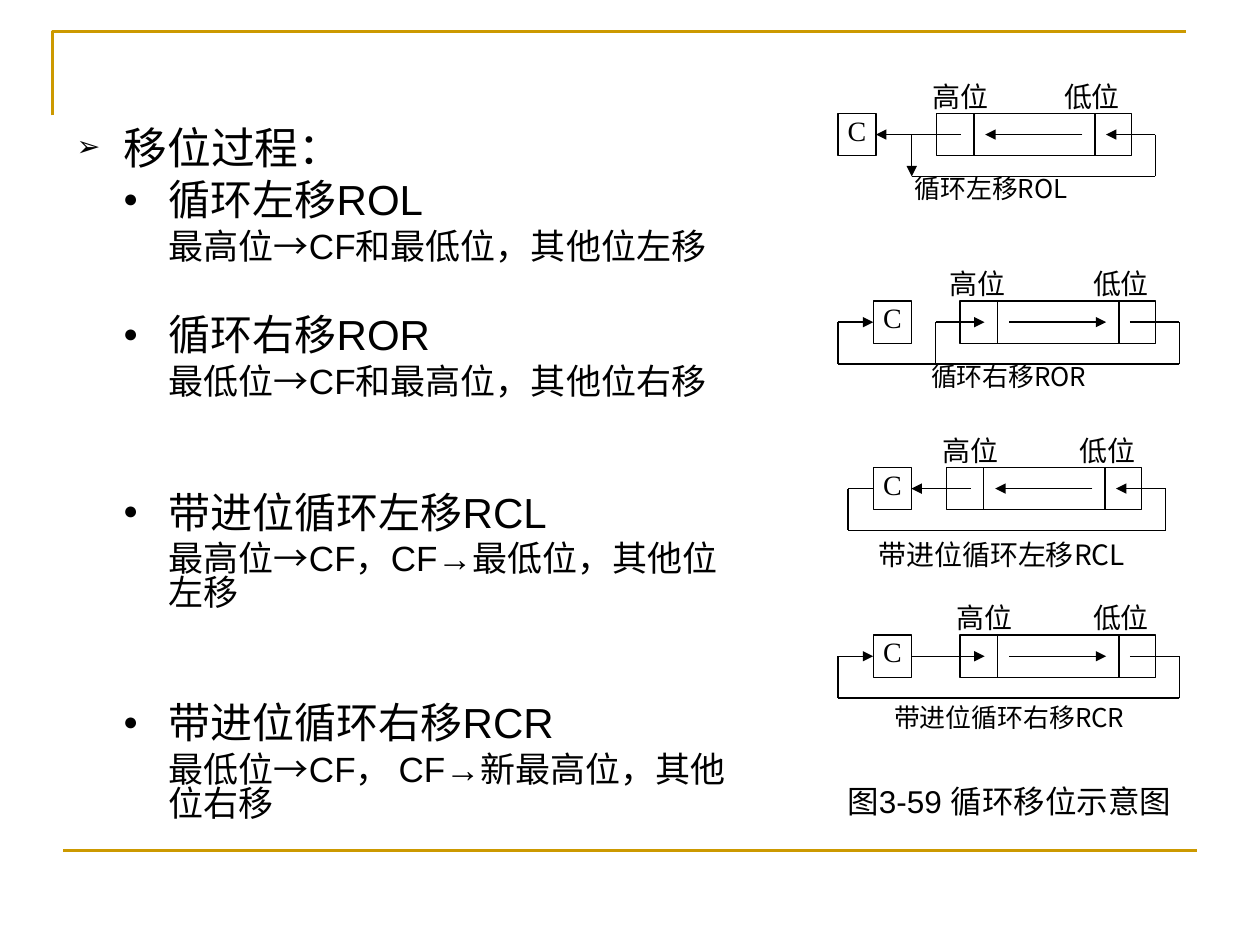
from itertools import pairwise

from lxml.etree import SubElement
from pptx import Presentation
from pptx.dml.color import RGBColor
from pptx.enum.shapes import MSO_CONNECTOR, MSO_SHAPE
from pptx.enum.text import MSO_ANCHOR, PP_ALIGN
from pptx.oxml.ns import qn
from pptx.util import Pt

COLORS = {"text": "000000", "frame": "CC9900"}
SANS, SERIF, CJK = "Arial", "Times New Roman", "Noto Sans CJK SC"
TEXT_MARGINS = (7.2, 3.6, 7.2, 3.6)

HEADING = "移位过程："
OPERATIONS = [
    ("循环左移ROL", "最高位→CF和最低位，其他位左移", 6),
    ("循环右移ROR", "最低位→CF和最高位，其他位右移", 30),
    ("带进位循环左移RCL", "最高位→CF，CF→最低位，其他位左移", 54),
    ("带进位循环右移RCR", "最低位→CF， CF→新最高位，其他位右移", 54),
]
DIAGRAMS = [
    dict(top=64.8, leftward=True, through_carry=False, carry=0, register=56.2,
         turn=0, label_inset=12, label_gap=75,
         title=("循环左移ROL", 31.7, 36, 111.6, 14.8, 0.9)),
    dict(top=172, leftward=False, through_carry=False, carry=20.2, register=69.8,
         turn=0, label_inset=8, label_gap=82,
         title=("循环右移ROR", 41.8, 36, 111.6, 14.8, 0.9)),
    dict(top=267.1, leftward=True, through_carry=True, carry=20.2, register=61.9,
         turn=5.8, label_inset=12, label_gap=78,
         title=("带进位循环左移RCL", 10.1, 40.3, 167, 16, 1.0)),
    dict(top=362.9, leftward=False, through_carry=True, carry=20.2, register=69.8,
         turn=0, label_inset=12, label_gap=78,
         title=("带进位循环右移RCR", 14.4, 40.3, 167, 14.8, 0.9)),
]
CELL, REGISTER, HEIGHT, MIDDLE, LOW = 21.8, 111.6, 24.2, 12.1, 36


def rgb(name):
    return RGBColor.from_string(COLORS[name])


def apply(target, **values):
    for name, value in values.items():
        setattr(target, name, value)


def write(paragraph, text, size, font, **layout):
    apply(paragraph, **layout)
    run = paragraph.add_run()
    run.text = text
    apply(run.font, size=Pt(size), name=font)
    run.font.color.rgb = rgb("text")


def set_margins(frame, margins=(0, 0, 0, 0)):
    left, top, right, bottom = margins
    apply(frame, word_wrap=True, vertical_anchor=MSO_ANCHOR.TOP,
          margin_left=Pt(left), margin_top=Pt(top),
          margin_right=Pt(right), margin_bottom=Pt(bottom))


def add_text_frame(slide, left, top, width, height, margins=(0, 0, 0, 0)):
    frame = slide.shapes.add_textbox(Pt(left), Pt(top), Pt(width), Pt(height)).text_frame
    set_margins(frame, margins)
    return frame


def add_box(slide, left, top, width):
    box = slide.shapes.add_shape(MSO_SHAPE.RECTANGLE, Pt(left), Pt(top), Pt(width), Pt(HEIGHT))
    box.shadow.inherit = False
    box.fill.background()
    box.line.color.rgb = rgb("text")
    box.line.width = Pt(0.75)
    return box


def add_line(slide, start, end, color="text", width=0.75, arrow=False):
    line = slide.shapes.add_connector(
        MSO_CONNECTOR.STRAIGHT, *(Pt(value) for value in (*start, *end)))
    line.line.color.rgb = rgb(color)
    line.line.width = Pt(width)
    properties = line._element.spPr
    if arrow:
        SubElement(properties.find(qn("a:ln")), qn("a:tailEnd"), type="triangle")
    SubElement(properties, qn("a:effectLst"))
    return line


def add_frame(slide, left, top, width, height):
    corner = slide.shapes.build_freeform(Pt(left), Pt(top + 48))
    corner.add_line_segments(
        [(Pt(left), Pt(top)), (Pt(left + width), Pt(top))], close=False)
    outline = corner.convert_to_shape()
    outline.shadow.inherit = False
    outline.fill.background()
    outline.line.color.rgb = rgb("frame")
    outline.line.width = Pt(1.5)
    base = top + height
    add_line(slide, (left + 6, base), (left + 6 + width, base), "frame", 1.5)


def set_bullet(paragraph, symbol, percent, indent, hanging):
    properties = paragraph._p.get_or_add_pPr()
    properties.set("marL", str(Pt(indent)))
    properties.set("indent", str(-Pt(hanging)))
    if not symbol:
        SubElement(properties, qn("a:buNone"))
        return
    color = SubElement(properties, qn("a:buClr"))
    SubElement(color, qn("a:srgbClr"), val=COLORS["text"])
    SubElement(properties, qn("a:buSzPct"), val=str(percent * 1000))
    SubElement(properties, qn("a:buFont"), typeface=SANS)
    SubElement(properties, qn("a:buChar"), char=symbol)


def add_operations(slide, left, top, width, height):
    frame = add_text_frame(slide, left, top, width, height, TEXT_MARGINS)
    heading = frame.paragraphs[0]
    set_bullet(heading, "➢", 65, 27, 27)
    write(heading, HEADING, 25, SANS, line_spacing=0.8)
    for name, effect, gap in OPERATIONS:
        title = frame.add_paragraph()
        set_bullet(title, "●", 60, 52.6, 26)
        write(title, name, 24, SANS, level=1, line_spacing=0.8, space_before=Pt(gap))
        detail = frame.add_paragraph()
        set_bullet(detail, None, 0, 52.6, 0)
        write(detail, effect, 20, SANS, level=1, line_spacing=0.8, space_before=Pt(5))


def add_diagram(slide, left, top, leftward, through_carry, carry, register,
                turn, label_inset, label_gap, title):
    carry, register, turn = left + carry, left + register, left + turn
    middle, low = top + MIDDLE, top + LOW
    tap, right = register - 14, register + 125.3

    add_box(slide, register, top, REGISTER)
    for divider in (register + 21.5, register + 90.8):
        add_line(slide, (divider, top), (divider, top + HEIGHT))
    carry_box = add_box(slide, carry, top, CELL)
    set_margins(carry_box.text_frame)
    write(carry_box.text_frame.paragraphs[0], "C", 16, SERIF, alignment=PP_ALIGN.CENTER)

    carry_left, carry_right = (carry, middle), (carry + CELL, middle)
    sites = {carry_left: 1, carry_right: 3}
    high_bit, low_bit = (register + 14, middle), (register + 97, middle)
    loop = [low_bit, (right, middle), (right, low)]
    link = [carry_right, high_bit]
    shift = [(register + 28, middle), (register + 83.5, middle)]
    if leftward and not through_carry:
        loop.append((tap, low))
        add_line(slide, (tap, middle), (tap, low), arrow=True)
    else:
        loop += [(turn, low), (turn, middle), carry_left]
    if not leftward and not through_carry:
        link = [(tap, low), (tap, middle), high_bit]

    for route in (loop, link, shift):
        if leftward:
            route.reverse()
        for start, end in pairwise(route):
            line = add_line(slide, start, end, arrow=end == route[-1])
            if start in sites:
                line.begin_connect(carry_box, sites[start])
            if end in sites:
                line.end_connect(carry_box, sites[end])

    labels = add_text_frame(slide, tap, top - 19.6, 139.5, 20,
                            (label_inset, 0, 0, 0)).paragraphs[0]
    stops = SubElement(labels._p.get_or_add_pPr(), qn("a:tabLst"))
    SubElement(stops, qn("a:tab"), pos=str(Pt(label_gap)), algn="l")
    write(labels, "高位\t低位", 16, SERIF)

    name, offset, drop, width, size, spacing = title
    caption = add_text_frame(slide, left + offset, top + drop, width, 18.4)
    write(caption.paragraphs[0], name, size, CJK,
          alignment=PP_ALIGN.CENTER, line_spacing=spacing)


def add_figure_caption(slide, left, top, width, height):
    frame = add_text_frame(slide, left, top, width, height, TEXT_MARGINS)
    write(frame.paragraphs[0], "图3-59 循环移位示意图", 18, SANS, alignment=PP_ALIGN.CENTER)


def main():
    presentation = Presentation()
    apply(presentation, slide_width=Pt(720), slide_height=Pt(540))
    slide = presentation.slides.add_slide(presentation.slide_layouts[6])
    add_frame(slide, 30, 18, 648, 468)
    add_operations(slide, 36.7, 71.3, 396.7, 419.8)
    for diagram in DIAGRAMS:
        add_diagram(slide, 478.8, **diagram)
    add_figure_caption(slide, 461.5, 443.5, 230.4, 28.8)
    presentation.save("out.pptx")


if __name__ == "__main__":
    main()
